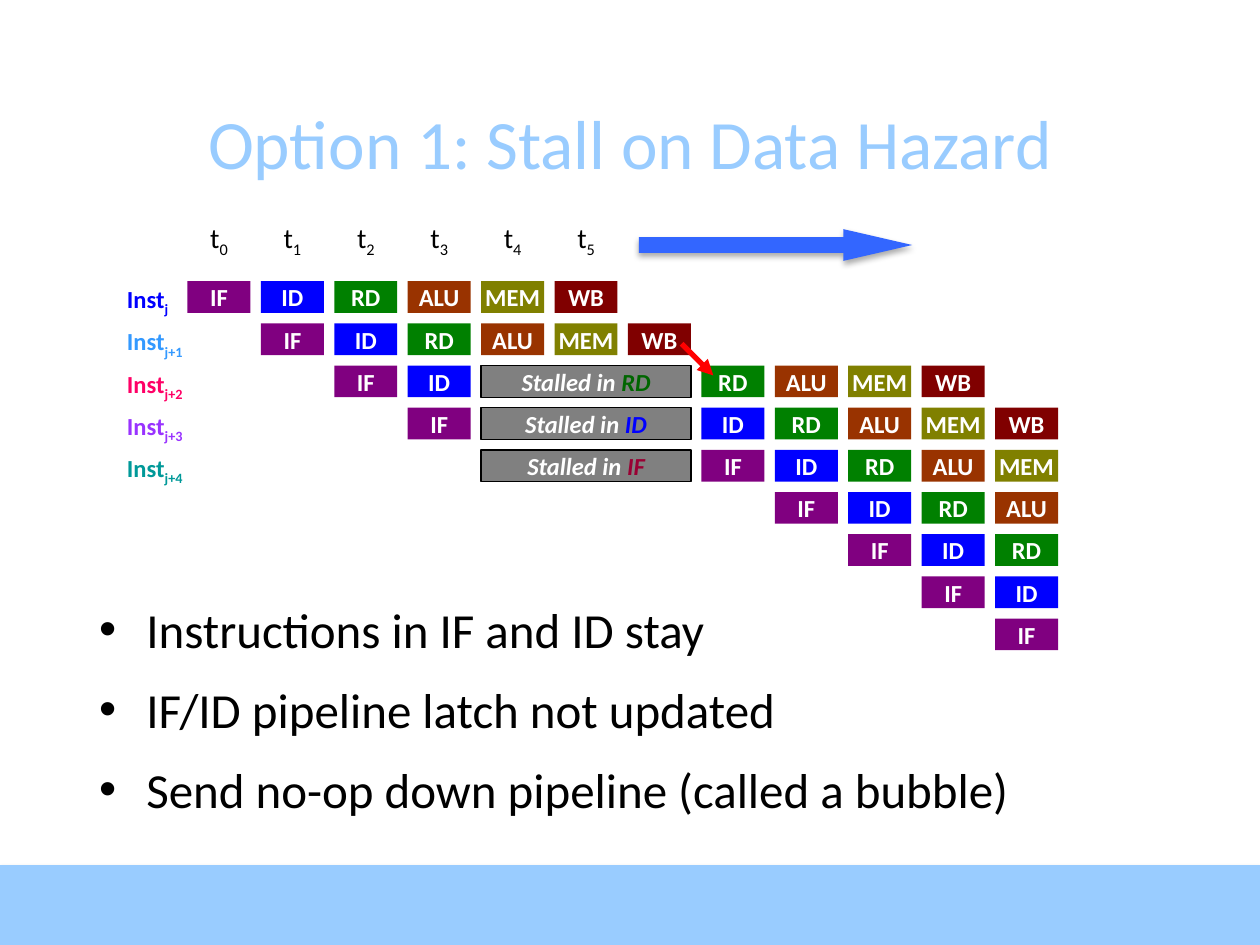
from dataclasses import dataclass

from lxml import etree
from pptx import Presentation, oxml
from pptx.dml.color import RGBColor
from pptx.enum import shapes, text
from pptx.oxml import ns
from pptx.util import Cm, Pt

TITLE = "Option 1: Stall on Data Hazard"
POINTS = [
    "Instructions in IF and ID stay",
    "IF/ID pipeline latch not updated",
    "Send no-op down pipeline (called a bubble)",
]
STAGES = ["IF", "ID", "RD", "ALU", "MEM", "WB"]
LABELS = [("j", "0000FF"), ("j+1", "3399FF"), ("j+2", "FF0066"),
          ("j+3", "9933FF"), ("j+4", "009999")]
ROWS = [(0, None), (1, None), (2, 2), (3, 1), (4, 0),
        (8, None), (9, None), (10, None), (11, None)]
TIMES = 6
COLS = 12
STALL, RESUME = 4, 7


@dataclass
class Theme:
    font = "Calibri"
    title, body, time, cell = 39.6, 28, 16, 14
    sky, black, white = "99CCFF", "000000", "FFFFFF"
    grey, arrow, red = "808080", "3366FF", "FF0000"
    stage = dict(zip(STAGES, ["800080", "0000FF", "008000",
                              "993300", "808000", "800000"]))
    stall = {"RD": "006600", "ID": "0000FF", "IF": "990033"}


look = Theme()
LEFT, TOP = 3.78, 5.67
STEP, DROP = 1.48, 0.85
WIDE, HIGH = 1.27, 0.64

deck = Presentation()
deck.slide_width, deck.slide_height = Cm(25.4), Cm(19.05)
slide = deck.slides.add_slide(deck.slide_layouts[5])
RECT = shapes.MSO_SHAPE.RECTANGLE
CENTER = text.PP_ALIGN.CENTER


def color(code):
    return RGBColor.from_string(code)


def style(run, size, code, bold=False, slant=False):
    font = run.font
    font.name, font.size = look.font, Pt(size)
    font.bold, font.italic = bold, slant
    font.color.rgb = color(code)


def block(kind, x, y, w, h, fill, edge=None):
    item = slide.shapes.add_shape(kind, Cm(x), Cm(y), Cm(w), Cm(h))
    item.shadow.inherit = False
    item.fill.solid()
    item.fill.fore_color.rgb = color(fill)
    if edge:
        item.line.color.rgb = color(edge)
        item.line.width = Pt(0.75)
    else:
        item.line.fill.background()
    return item


def shade(item, blur, dist, alpha):
    glow = oxml.parse_xml(
        f'<a:outerShdw {ns.nsdecls("a")} blurRad="{Pt(blur)}" dist="{Pt(dist)}" '
        f'dir="5400000" rotWithShape="0"><a:srgbClr val="{look.black}">'
        f'<a:alpha val="{alpha * 1000}"/></a:srgbClr></a:outerShdw>')
    item.element.spPr.find(ns.qn("a:effectLst")).append(glow)


def cell(col, row, parts, fill, span=1, edge=None):
    item = block(RECT, LEFT + col * STEP, TOP + row * DROP,
                 WIDE + (span - 1) * STEP, HIGH, fill, edge)
    frame = item.text_frame
    frame.word_wrap = False
    frame.vertical_anchor = text.MSO_ANCHOR.MIDDLE
    para = frame.paragraphs[0]
    para.alignment = CENTER
    for words, code in parts:
        run = para.add_run()
        run.text = words
        style(run, look.cell, code, True, span > 1)


def label(x, y, w, h, base, sub, size, code, bold=False):
    frame = slide.shapes.add_textbox(Cm(x), Cm(y), Cm(w), Cm(h)).text_frame
    frame.word_wrap = True
    para = frame.paragraphs[0]
    for words in (base, sub):
        run = para.add_run()
        run.text = words
        style(run, size, code, bold)
    run.font._element.set("baseline", "-25000")
    return frame


bar = block(RECT, 0, 17.44, 25.4, 1.61, look.sky)
shade(bar, 3.1, 1.8, 35)

title = slide.shapes.title
title.left, title.top, title.width, title.height = Cm(1.75), Cm(1.88), Cm(21.9), Cm(1.95)
title.text_frame.text = TITLE
title.text_frame.vertical_anchor = text.MSO_ANCHOR.MIDDLE
head = title.text_frame.paragraphs[0]
head.alignment = CENTER
style(head.runs[0], look.title, look.sky)

body = slide.shapes.add_textbox(Cm(1.75), Cm(11.96), Cm(21.9), Cm(5.2)).text_frame
body.word_wrap = True
body.text = "\n".join(POINTS)
for para in body.paragraphs:
    para.space_before = Pt(12)
    style(para.runs[0], look.body, look.black)
    props = para._p.get_or_add_pPr()
    props.set("marL", str(Cm(0.95)))
    props.set("indent", str(-Cm(0.95)))
    etree.SubElement(props, ns.qn("a:buFont")).set("typeface", "Arial")
    etree.SubElement(props, ns.qn("a:buChar")).set("char", "•")

for row, (start, held) in enumerate(ROWS):
    for step, name in enumerate(STAGES):
        late = held is not None and step >= held
        col = RESUME + step - held if late else start + step
        if col < COLS:
            cell(col, row, [(name, look.white)], look.stage[name])
    if held is not None:
        name = STAGES[held]
        cell(STALL, row, [("Stalled in ", look.white), (name, look.stall[name])],
             look.grey, RESUME - STALL, look.black)

for col in range(TIMES):
    frame = label(LEFT + col * STEP, 4.32, WIDE, 0.94, "t", str(col),
                  look.time, look.black)
    frame.paragraphs[0].alignment = CENTER

for row, (sub, code) in enumerate(LABELS):
    frame = label(2.31, TOP + 0.06 + row * DROP, 2.4, 0.6, "Inst", sub,
                  look.cell, code, True)
    frame.margin_top = frame.margin_bottom = 0

flow = block(shapes.MSO_SHAPE.RIGHT_ARROW, 12.88, 4.62, 5.51, HIGH, look.arrow)
flow.adjustments[0], flow.adjustments[1] = 0.5, 2.17
shade(flow, 3.5, 2.2, 32)

link = slide.shapes.add_connector(shapes.MSO_CONNECTOR.STRAIGHT,
                                  Cm(13.74), Cm(6.93), Cm(14.38), Cm(7.57))
link.line.color.rgb = color(look.red)
link.line.width = Pt(3)
etree.SubElement(link.line._get_or_add_ln(), ns.qn("a:tailEnd")).set("type", "triangle")
etree.SubElement(link._element.spPr, ns.qn("a:effectLst"))

deck.save("out.pptx")
